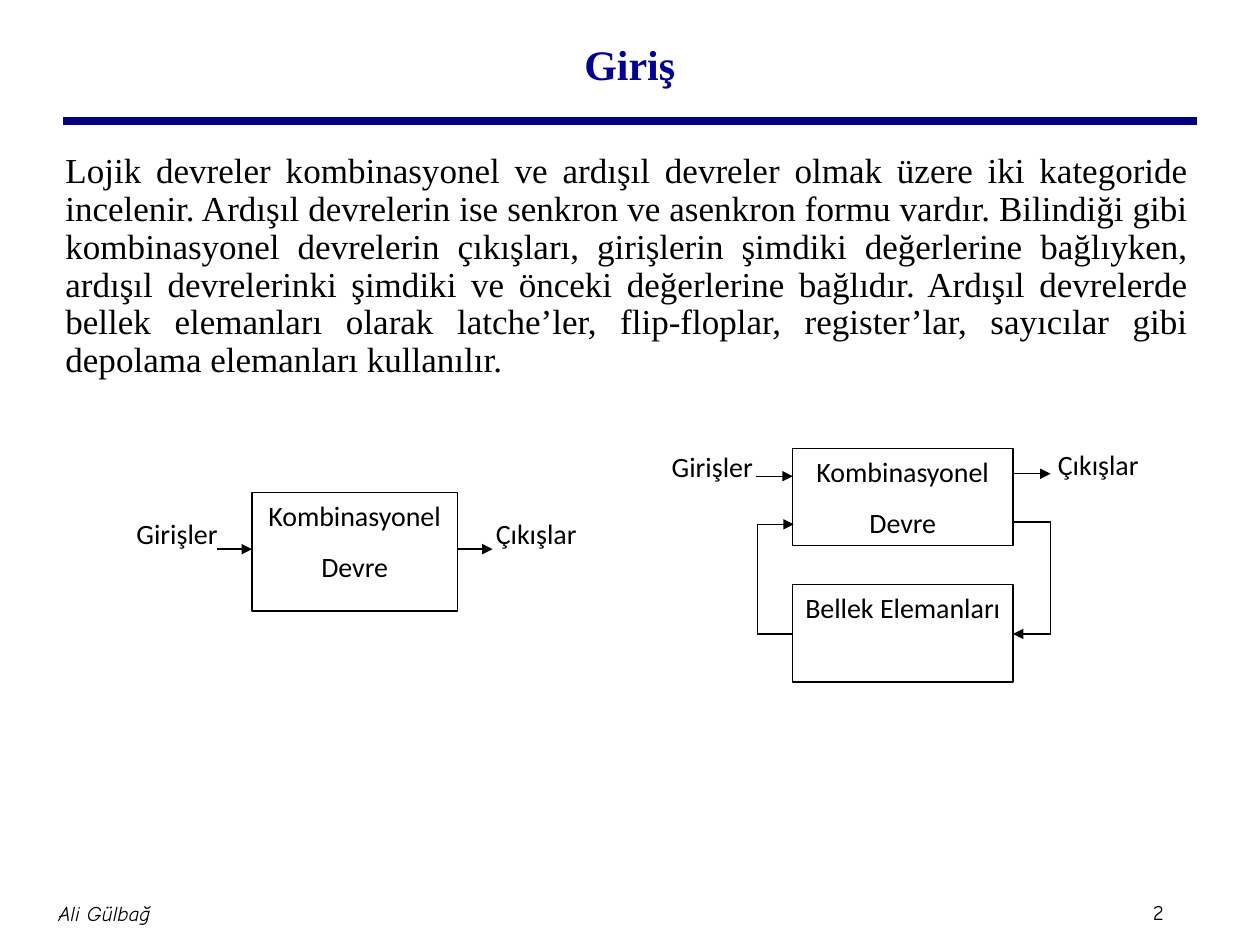
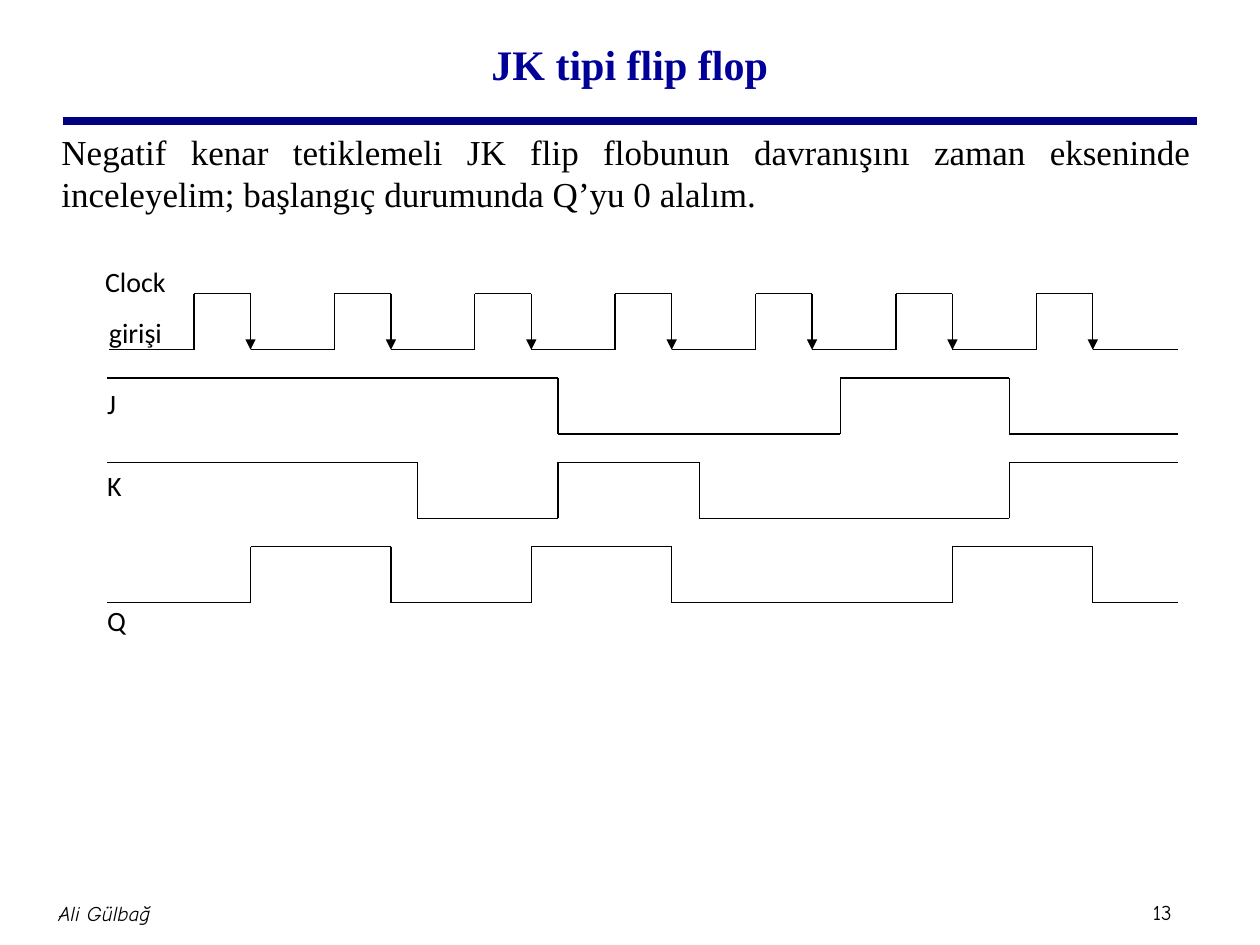
"""Build two slides on sequential circuits and the JK flip flop."""
from dataclasses import dataclass
from itertools import pairwise

from lxml.etree import SubElement as Sub
from pptx import Presentation
from pptx.dml.color import RGBColor as Rgb
from pptx.enum.shapes import MSO_CONNECTOR as Link, MSO_SHAPE as Shape
from pptx.enum.text import MSO_ANCHOR as Anchor, PP_ALIGN as Align
from pptx.oxml.ns import qn
from pptx.util import Cm, Pt


@dataclass(frozen=True)
class Theme:
    ink: Rgb = Rgb(0, 0, 0)
    paper: Rgb = Rgb(255, 255, 255)
    head: Rgb = Rgb(0, 0, 0x99)
    rule: Rgb = Rgb(0, 0, 0x80)
    serif: str = "Times New Roman"
    sans: str = "Calibri"
    comic: str = "Comic Neue"
    title: int = 24
    body: int = 20
    label: int = 16
    foot: int = 12
    thin: float = 0.75
    thick: float = 4.5


theme = Theme()
author = "Ali Gülbağ"

intro = {
    "title": "Giriş", "page": "2", "area": (1.07, 2.97, 23.14, 5.23), "space": 0.9,
    "text": "Lojik devreler kombinasyonel ve ardışıl devreler olmak üzere iki "
            "kategoride incelenir. Ardışıl devrelerin ise senkron ve asenkron formu "
            "vardır. Bilindiği gibi kombinasyonel devrelerin çıkışları, girişlerin "
            "şimdiki değerlerine bağlıyken, ardışıl devrelerinki şimdiki ve önceki "
            "değerlerine bağlıdır. Ardışıl devrelerde bellek elemanları olarak "
            "latche’ler, flip-floplar, register’lar, sayıcılar gibi depolama "
            "elemanları kullanılır.",
}
timing = {
    "title": "JK tipi flip flop", "page": "13", "area": (0.99, 2.51, 23.27, 14.1),
    "space": 1,
    "text": "Negatif kenar tetiklemeli JK flip flobunun davranışını zaman ekseninde "
            "inceleyelim; başlangıç durumunda Q’yu 0 alalım.",
}

logic = "Kombinasyonel\nDevre"
boxes = [
    (logic, (5.08, 9.93, 4.14, 2.39)),
    (logic, (15.98, 9.04, 4.44, 1.96)),
    ("Bellek Elemanları", (15.98, 11.79, 4.44, 1.96)),
]
ports = [
    ("Girişler", (1.5, 10.29, 4.14, 1.55)),
    ("Çıkışlar", (9.5, 10.29, 2.62, 1.55)),
    ("Girişler", (12.14, 8.94, 4.44, 1.27)),
    ("Çıkışlar", (20.73, 8.89, 2.82, 1.27)),
]
wires = [
    [(4.37, 11.07), (5.08, 11.07)],
    [(9.22, 11.07), (9.93, 11.07)],
    [(15.24, 9.6), (15.98, 9.6)],
    [(20.42, 9.55), (21.18, 9.55)],
    [(20.42, 10.52), (21.18, 10.52), (21.18, 12.78), (20.42, 12.78)],
    [(15.98, 12.78), (15.27, 12.78), (15.27, 10.57), (16, 10.57)],
]

rises = [3.91 + 2.83 * i for i in range(7)]
falls = [x + 1.14 for x in rises]
waves = [
    ("Clock\ngirişi", (1.6, 5.33, 2.26, 1.7), Align.CENTER, 2.2, 0,
     sorted(rises + falls)),
    ("J", (2.16, 7.8, 2.26, 1.14), Align.LEFT, 2.16, 1, [11.25, 16.94, 20.35]),
    ("K", (2.16, 9.45, 2.26, 1.14), Align.LEFT, 2.16, 1, [8.41, 11.25, 14.1, 20.35]),
    ("Q", (2.16, 12.17, 1.14, 1.14), Align.LEFT, 2.16, 0,
     [falls[i] for i in (0, 1, 2, 3, 5, 6)]),
]
top, pitch, swing, end = 5.92, 1.7, 1.13, 23.75


def write(shape, text, font, size, color=theme.ink, align=Align.LEFT, inset=None,
          anchor=Anchor.TOP, after=0, before=0, space=None, bold=False, italic=False):
    frame = shape.text_frame
    frame.text = text
    frame.word_wrap = True
    frame.vertical_anchor = anchor
    if inset is not None:
        frame.margin_left = frame.margin_right = Cm(inset)
        frame.margin_top = frame.margin_bottom = Cm(inset)
    for para in frame.paragraphs:
        para.alignment = align
        para.space_after, para.space_before = Pt(after), Pt(before)
        para.line_spacing = space
        for run in para.runs:
            face = run.font
            face.name, face.size = font, Pt(size)
            face.bold, face.italic = bold, italic
            face.color.rgb = color


def place(area):
    return [Cm(v) for v in area]


def add_text(slide, area, *args, **kind):
    write(slide.shapes.add_textbox(*place(area)), *args, **kind)


def add_box(slide, text, area):
    box = slide.shapes.add_shape(Shape.RECTANGLE, *place(area))
    box.shadow.inherit = False
    box.fill.solid()
    box.fill.fore_color.rgb = theme.paper
    box.line.color.rgb, box.line.width = theme.ink, Pt(theme.thin)
    write(box, text, theme.sans, theme.label, align=Align.CENTER, after=10)


def add_line(slide, start, stop, arrow=False, color=theme.ink, width=theme.thin):
    line = slide.shapes.add_connector(Link.STRAIGHT, *place(start + stop))
    line.line.color.rgb, line.line.width = color, Pt(width)
    if arrow:
        Sub(line.line._get_or_add_ln(), qn("a:tailEnd"), type="triangle")
    Sub(line._element.spPr, qn("a:effectLst"))


def add_wire(slide, points):
    for start, stop in pairwise(points):
        add_line(slide, start, stop, stop == points[-1])


def add_wave(slide, row, start, level, edges, clock):
    high = top + row * pitch
    rail = (high + swing, high)
    points = [(start, rail[level])]
    for x in edges:
        points += [(x, rail[level]), (x, rail[1 - level])]
        level = 1 - level
    points.append((end, rail[level]))
    for a, b in pairwise(points):
        add_line(slide, a, b, clock and b[1] > a[1])


def add_page(deck, data):
    slide = deck.slides.add_slide(deck.slide_layouts[5])
    title = slide.shapes.title
    title.left, title.top, title.width, title.height = place((1.9, 0.2, 21.59, 2.18))
    write(title, data["title"], theme.serif, theme.title, theme.head, Align.CENTER,
          anchor=Anchor.MIDDLE, bold=True)
    add_line(slide, (1.27, 2.44), (24.13, 2.44), color=theme.rule, width=theme.thick)
    add_text(slide, (23.11, 18.01, 1.19, 0.76), data["page"], theme.comic, theme.foot,
             inset=0.13, anchor=Anchor.MIDDLE)
    add_text(slide, (-2.44, 17.78, 9.09, 1.27), author, theme.comic, theme.foot,
             align=Align.CENTER, inset=0.13, anchor=Anchor.MIDDLE, italic=True)
    add_text(slide, data["area"], data["text"], theme.serif, theme.body,
             align=Align.JUSTIFY, before=4, space=data["space"])
    return slide


deck = Presentation()
deck.slide_width, deck.slide_height = Cm(25.4), Cm(19.05)

slide = add_page(deck, intro)
for text, area in boxes:
    add_box(slide, text, area)
for text, area in ports:
    add_text(slide, area, text, theme.sans, theme.label, align=Align.CENTER, after=10)
for points in wires:
    add_wire(slide, points)

slide = add_page(deck, timing)
for row, (name, area, align, start, level, edges) in enumerate(waves):
    add_text(slide, area, name, theme.sans, theme.label, align=align, inset=0, after=10)
    add_wave(slide, row, start, level, edges, clock=row == 0)

deck.save("out.pptx")
